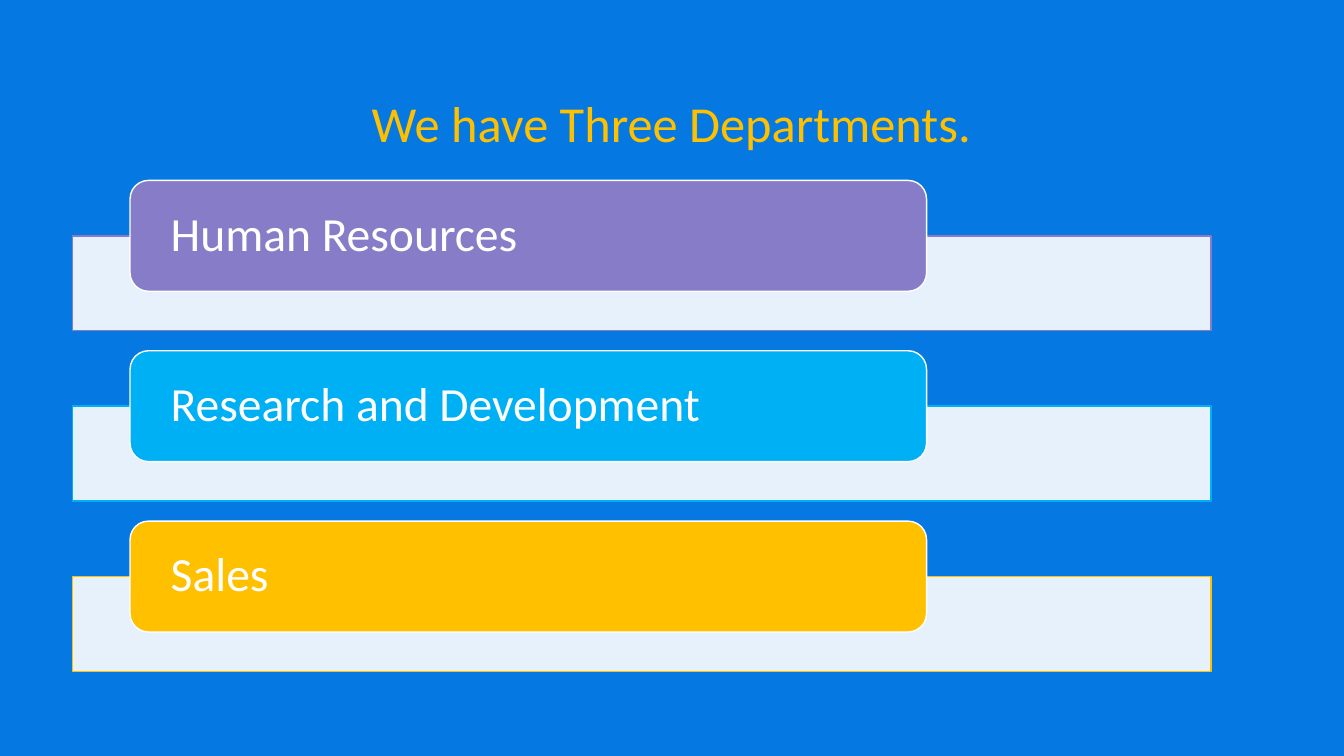
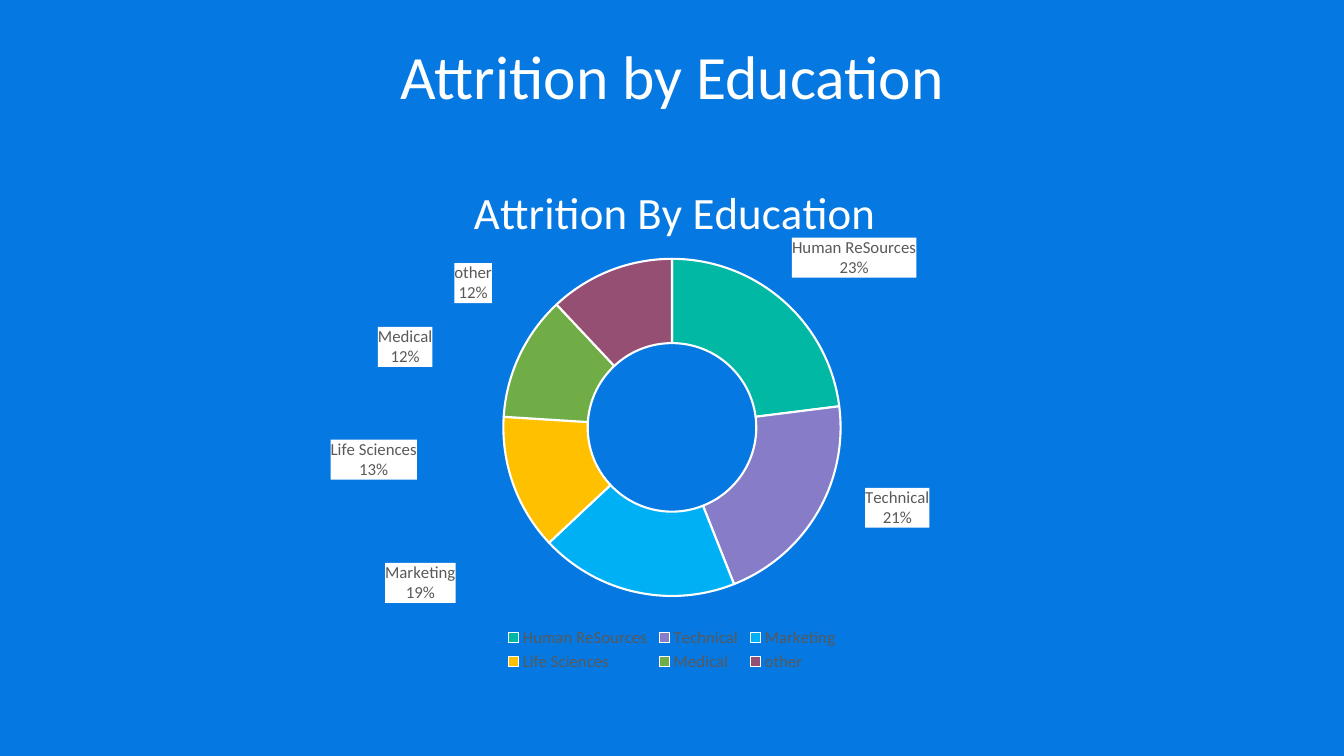
from lxml.etree import SubElement
from pptx import Presentation
from pptx.chart.data import CategoryChartData
from pptx.dml.color import RGBColor
from pptx.enum.chart import XL_CHART_TYPE, XL_LEGEND_POSITION
from pptx.enum.shapes import MSO_SHAPE
from pptx.enum.text import MSO_ANCHOR, PP_ALIGN
from pptx.oxml import parse_xml
from pptx.oxml.ns import nsdecls, qn
from pptx.util import Inches, Pt

COLORS = {
    "background": "0578E1",
    "white": "FFFFFF",
    "teal": "00B8A3",
    "purple": "877CC8",
    "sky": "00B0F4",
    "gold": "FFC000",
    "green": "70AD47",
    "plum": "954F72",
    "gray": "595959",
}
FONT = "Calibri"


def color(name):
    return RGBColor.from_string(COLORS[name])


def style_font(font, size, tint):
    font.name = FONT
    font.size = Pt(size)
    font.bold = False
    font.color.rgb = color(tint)


def write(frame, text, size=34, tint="white", align=PP_ALIGN.LEFT, spacing=1.0, margin=0.1):
    frame.word_wrap = True
    frame.vertical_anchor = MSO_ANCHOR.MIDDLE
    frame.margin_left = frame.margin_right = Inches(margin)
    para = frame.paragraphs[0]
    para.alignment = align
    para.line_spacing = spacing
    span = para.add_run()
    span.text = text
    style_font(span.font, size, tint)


def place(parent, index, **fractions):
    for old in parent.findall(qn("c:layout")):
        parent.remove(old)
    layout = parse_xml(f"<c:layout {nsdecls('c')}/>")
    manual = SubElement(layout, qn("c:manualLayout"))
    for key, value in fractions.items():
        SubElement(manual, qn(f"c:{key}")).set("val", str(value))
    parent.insert(index, layout)


class Deck:
    def __init__(self):
        self.deck = Presentation()
        self.deck.slide_width = Inches(13.33)
        self.deck.slide_height = Inches(7.5)
        fill = self.deck.slide_master.background.fill
        fill.solid()
        fill.fore_color.rgb = color("background")
        self.slide = None

    def add_slide(self, title, box, size, tint):
        self.slide = self.deck.slides.add_slide(self.deck.slide_layouts[5])
        holder = self.slide.shapes.title
        holder.left, holder.top, holder.width, holder.height = map(Inches, box)
        write(holder.text_frame, title, size=size, tint=tint, align=PP_ALIGN.CENTER)

    def shape(self, kind, box, fill, line, alpha=None):
        shape = self.slide.shapes.add_shape(kind, *map(Inches, box))
        shape.shadow.inherit = False
        shape.fill.solid()
        shape.fill.fore_color.rgb = color(fill)
        shape.line.color.rgb = color(line)
        shape.line.width = Pt(1)
        if alpha is not None:
            tone = shape.element.spPr.find(qn("a:solidFill"))[0]
            SubElement(tone, qn("a:alpha")).set("val", str(alpha * 1000))
        return shape

    def department(self, name, top, tint):
        self.shape(MSO_SHAPE.RECTANGLE, (0.72, top + 0.55, 11.29, 0.94), "white", tint, alpha=90)
        box = self.shape(MSO_SHAPE.ROUNDED_RECTANGLE, (1.29, top, 7.9, 1.1), tint, "white")
        write(box.text_frame, name, spacing=0.9, margin=0.35)

    def doughnut(self, title, box, entries):
        data = CategoryChartData()
        data.categories = [entry[0] for entry in entries]
        data.add_series("Series 1", [entry[1] for entry in entries])
        chart = self.slide.shapes.add_chart(
            XL_CHART_TYPE.DOUGHNUT, *map(Inches, box), data
        ).chart
        style_font(chart.font, 12, "gray")

        chart.has_title = True
        heading = chart.chart_title
        heading.include_in_layout = False
        write(heading.text_frame, title, size=32, align=PP_ALIGN.CENTER)
        chart.has_legend = True
        chart.legend.position = XL_LEGEND_POSITION.BOTTOM
        chart.legend.include_in_layout = False
        style_font(chart.legend.font, 12, "gray")

        plot = chart.plots[0]
        plot.vary_by_categories = True
        series = plot.series[0]
        labels = series.data_labels
        labels.show_value = False
        labels.show_percentage = labels.show_category_name = True
        style_font(labels.font, 12, "gray")
        for index, (_, _, tint, _) in enumerate(entries):
            point = series.points[index]
            point.format.fill.solid()
            point.format.fill.fore_color.rgb = color(tint)
            point.format.line.color.rgb = color("white")
            point.format.line.width = Pt(1.5)
            style_font(point.data_label.font, 12, "gray")
        self.arrange(chart.element, [entry[3] for entry in entries])

    def arrange(self, root, offsets):
        edge = {"xMode": "edge", "yMode": "edge"}
        place(root.find(".//" + qn("c:title")), 1, **edge, x=0.27, y=0.06)
        place(root.find(".//" + qn("c:legend")), 1, **edge, x=0.31, y=0.9, w=0.38, h=0.1)
        place(root.find(".//" + qn("c:plotArea")), 0, layoutTarget="inner", **edge,
              x=0.31, y=0.22, w=0.38, h=0.63)
        root.find(".//" + qn("c:holeSize")).set("val", "75")
        for leader in root.iter(qn("c:showLeaderLines")):
            leader.set("val", "0")
        for label, (x, y) in zip(root.iter(qn("c:dLbl")), offsets):
            place(label, 1, x=x, y=y)
            label.find(qn("c:txPr")).addprevious(parse_xml(
                f"<c:spPr {nsdecls('c', 'a')}><a:solidFill>"
                f"<a:srgbClr val='{COLORS['white']}'/></a:solidFill></c:spPr>"
            ))
            for flag, value in (("showVal", "0"), ("showCatName", "1"), ("showPercent", "1")):
                label.find(qn(f"c:{flag}")).set("val", value)
            SubElement(label, qn("c:separator")).text = "\n"

    def save(self):
        self.deck.save("out.pptx")


def main():
    deck = Deck()

    deck.add_slide("We have Three Departments.", (2.07, 0.86, 9.18, 0.71), 36, "gold")
    departments = (("Human Resources", "purple"), ("Research and Development", "sky"), ("Sales", "gold"))
    for row, (name, tint) in enumerate(departments):
        deck.department(name, 1.79 + row * 1.69, tint)

    deck.add_slide("Attrition by Education", (0.84, 0.32, 11.66, 0.84), 44, "white")
    deck.doughnut("Attrition By Education", (2.22, 1.4, 8.89, 5.31), (
        ("Human ReSources", 23, "teal", (0.11, -0.14)),
        ("Technical", 21, "purple", (0.13, 0.03)),
        ("Marketing", 19, "sky", (-0.25, 0.06)),
        ("Life Sciences", 13, "gold", (-0.2, -0.02)),
        ("Medical", 12, "green", (-0.17, -0.05)),
        ("other", 12, "plum", (-0.17, -0.05)),
    ))
    deck.save()


if __name__ == "__main__":
    main()
